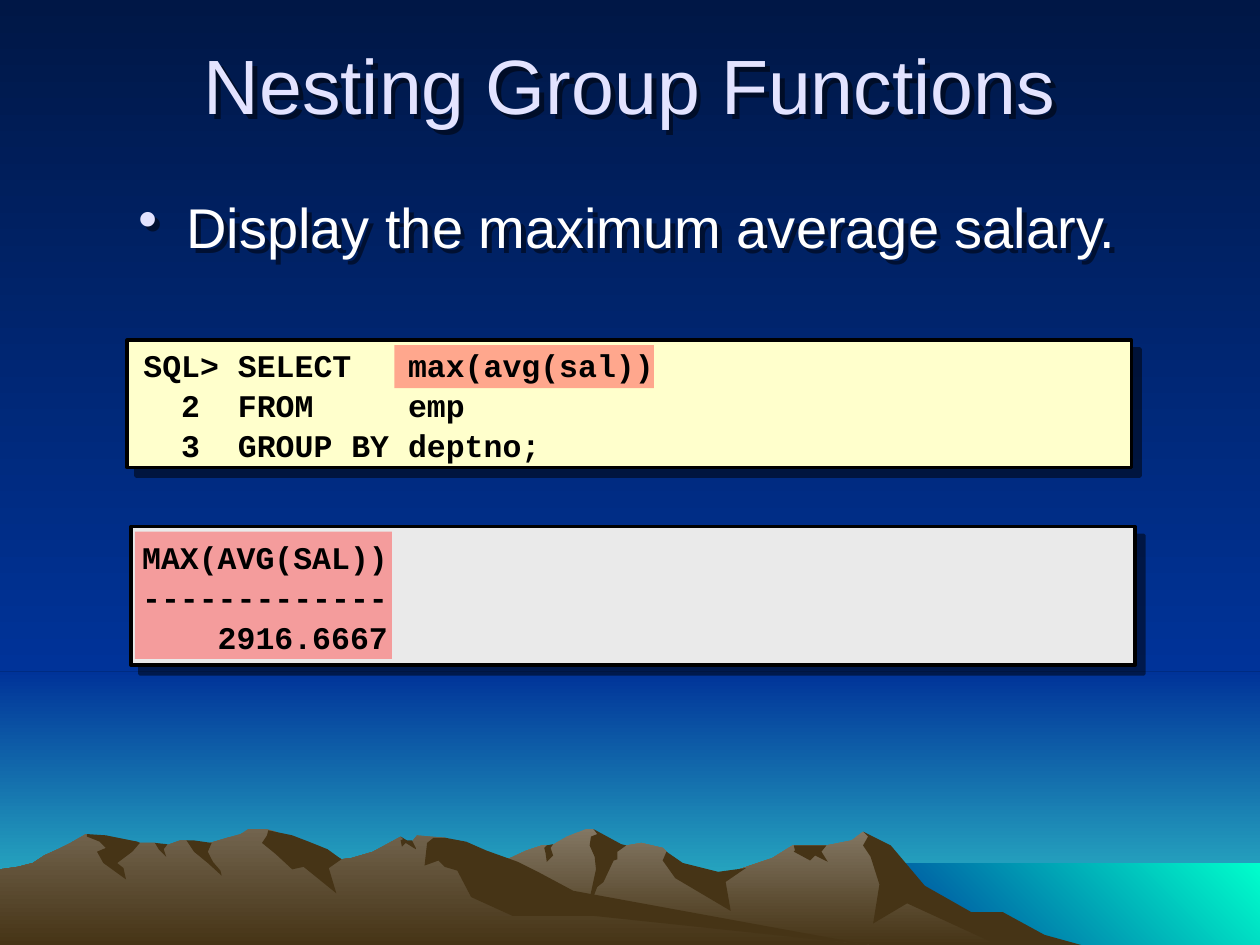
from dataclasses import dataclass

from lxml.etree import SubElement
from pptx import Presentation
from pptx.dml.color import RGBColor
from pptx.enum.shapes import MSO_SHAPE
from pptx.enum.text import MSO_ANCHOR, PP_ALIGN
from pptx.oxml.ns import qn
from pptx.util import Inches, Pt

UNIT = Inches(0.01)  # the slide is a grid of 1000 columns by 750 rows
COLUMNS, ROWS = 1000, 750
HORIZON = 533
CHARACTER = 15  # columns taken by one code character


@dataclass(frozen=True)
class Theme:
    night: str = "001746"
    blue: str = "003399"
    dusk: str = "33CCCC"
    sea: str = "00FFCC"
    far_rock: str = "837763"
    near_rock: str = "72644E"
    earth: str = "463416"
    query: str = "FFFFCC"
    result: str = "EAEAEA"
    highlight: str = "FF5050"
    title: str = "E3E3FF"
    body: str = "FFFFFF"
    ink: str = "000000"
    text_font: str = "Arial"
    code_font: str = "Courier New"
    title_size: int = 44
    body_size: int = 32
    code_size: int = 18


THEME = Theme()


@dataclass(frozen=True)
class Box:
    left: float
    top: float
    width: float
    height: float

    def inner(self, left, top, width, height):
        return Box(self.left + left, self.top + top, width, height)

    def emu(self):
        return [int(n * UNIT) for n in (self.left, self.top, self.width, self.height)]


# Outlines, in grid units from the top left of the mountain range.
FAR_RIDGE = [
    (802, 82), (778, 69), (764, 65), (723, 40), (702, 13), (685, 2), (676, 9), (656, 13),
    (629, 13), (613, 23), (566, 39), (536, 32), (529, 18), (526, 15), (509, 11), (486, 15),
    (474, 3), (471, 0), (465, 0), (450, 6), (438, 13), (430, 13), (418, 17), (405, 23),
    (394, 27), (355, 40), (327, 51), (277, 81), (258, 92), (820, 92)]
FAR_SHADES = [
    [(796, 66), (771, 66), (734, 45), (707, 13), (685, 2), (689, 6), (685, 13), (691, 22),
     (698, 44), (693, 75), (720, 59), (792, 92), (858, 92), (829, 84)],
    [(471, 0), (474, 4), (469, 6), (468, 13), (472, 22), (473, 32), (465, 69), (474, 46),
     (479, 42), (487, 25), (490, 24), (490, 18), (497, 13), (493, 12)],
    [(529, 18), (526, 25), (536, 39), (580, 65), (576, 42), (592, 31), (570, 34), (542, 27)],
    [(650, 13), (630, 13), (631, 17), (630, 18), (643, 25), (647, 21), (657, 26), (652, 18),
     (656, 13)],
    [(433, 19), (432, 15), (434, 13), (439, 12), (437, 15), (439, 21), (434, 26)]]
NEAR_RIDGE = [
    (690, 92), (667, 90), (432, 54), (354, 7), (331, 5), (327, 10), (323, 10), (318, 6),
    (296, 18), (279, 23), (271, 24), (260, 18), (236, 23), (223, 5), (219, 2), (212, 0),
    (197, 0), (191, 4), (180, 7), (160, 13), (148, 9), (143, 9), (132, 13), (123, 11),
    (111, 11), (94, 13), (68, 4), (56, 11), (46, 16), (35, 21), (26, 27), (14, 30),
    (0, 32), (0, 92)]
NEAR_SHADES = [
    [(212, 5), (208, 11), (219, 20), (232, 32), (241, 30), (267, 51), (261, 31), (271, 24),
     (260, 16), (245, 10), (232, 5), (213, 1)],
    [(370, 10), (354, 7), (344, 7), (339, 11), (337, 29), (348, 25), (353, 30), (363, 33),
     (374, 54), (407, 69), (472, 69), (690, 92), (455, 49), (427, 34), (411, 26), (386, 17)],
    [(318, 9), (320, 8), (318, 6), (323, 9), (327, 9), (330, 15), (330, 16), (322, 11),
     (319, 14)],
    [(154, 9), (168, 11), (165, 18), (169, 26), (175, 33), (176, 37), (165, 27), (154, 18),
     (148, 9)],
    [(133, 12), (130, 16), (132, 22), (126, 16), (123, 11)],
    [(109, 10), (111, 11), (105, 18), (93, 27), (98, 31), (100, 40), (82, 27), (77, 18),
     (84, 15), (79, 10), (69, 6), (69, 4), (84, 5), (94, 7)]]


def color(code):
    return RGBColor.from_string(code)


def fill_gradient(fill, start, end, angle=270):
    fill.gradient()
    fill.gradient_angle = angle
    for stop, code in zip(fill.gradient_stops, (start, end)):
        stop.color.rgb = color(code)


def fill_solid(fill, code):
    fill.solid()
    fill.fore_color.rgb = color(code)


def add_alpha(color_element, percent):
    SubElement(color_element, qn("a:alpha"), val=str(percent * 1000))


def cast_shadow(shape, distance):
    effects = SubElement(shape._element.spPr, qn("a:effectLst"))
    shadow = SubElement(effects, qn("a:outerShdw"), dist=str(Pt(distance)), dir="2700000",
                        algn="ctr", rotWithShape="0")
    add_alpha(SubElement(shadow, qn("a:srgbClr"), val=THEME.ink), 50)


def add_rectangle(slide, box):
    rectangle = slide.shapes.add_shape(MSO_SHAPE.RECTANGLE, *box.emu())
    rectangle.line.fill.background()
    return rectangle


def add_outline(slide, box, points):
    corners = [(box.left + x, box.top + y) for x, y in points]
    builder = slide.shapes.build_freeform(*corners[0], scale=UNIT)
    builder.add_line_segments(corners[1:])
    outline = builder.convert_to_shape()
    outline.shadow.inherit = False
    outline.line.fill.background()
    return outline


def add_text_frame(slide, box):
    holder = slide.shapes.add_textbox(*box.emu())
    holder.text_frame.word_wrap = True
    return holder, holder.text_frame


def add_run(paragraph, words, font, size, code, bold=False):
    run = paragraph.add_run()
    run.text = words
    run.font.name, run.font.size, run.font.bold = font, Pt(size), bold
    run.font.color.rgb = color(code)


def add_tab_stops(paragraph, characters):
    stops = SubElement(paragraph._p.get_or_add_pPr(), qn("a:tabLst"))
    for count in characters:
        SubElement(stops, qn("a:tab"), pos=str(count * CHARACTER * UNIT), algn="l")


def draw_sky(slide, box):
    fill_gradient(slide.background.fill, THEME.night, THEME.blue)
    bands = ((HORIZON, box.height - HORIZON, THEME.blue, THEME.dusk),
             (0, HORIZON, THEME.night, THEME.blue))
    for top, height, start, end in bands:
        band = add_rectangle(slide, box.inner(0, top, box.width, height))
        band.shadow.inherit = False
        fill_gradient(band.fill, start, end)


def draw_sea(slide, box):
    sea = add_rectangle(slide, box)
    sea.shadow.inherit = False
    fill_gradient(sea.fill, THEME.sea, THEME.blue, 225)


def draw_mountains(slide, box):
    ranges = ((FAR_RIDGE, FAR_SHADES, THEME.far_rock), (NEAR_RIDGE, NEAR_SHADES, THEME.near_rock))
    for ridge, shades, rock in ranges:
        fill_gradient(add_outline(slide, box, ridge).fill, rock, THEME.earth)
        for shade in shades:
            fill_solid(add_outline(slide, box, shade).fill, THEME.earth)


def write_title(slide, box, words):
    title, frame = add_text_frame(slide, box)
    cast_shadow(title, 4)
    frame.paragraphs[0].alignment = PP_ALIGN.CENTER
    add_run(frame.paragraphs[0], words, THEME.text_font, THEME.title_size, THEME.title)


def write_bullet(slide, box, words):
    task, frame = add_text_frame(slide, box)
    cast_shadow(task, 4)
    paragraph = frame.paragraphs[0]
    paragraph.space_before = Pt(8)
    properties = paragraph._p.get_or_add_pPr()
    properties.set("marL", str(Inches(0.38)))
    properties.set("indent", str(-Inches(0.38)))
    SubElement(SubElement(properties, qn("a:buClr")), qn("a:srgbClr"), val=THEME.title)
    SubElement(properties, qn("a:buChar"), char="•")
    add_run(paragraph, words, THEME.text_font, THEME.body_size, THEME.body)


def draw_code_panel(slide, box, paper, highlight, text_shift, lines, tabs):
    """Draw a framed panel of code; highlight is a box relative to the panel."""
    panel = add_rectangle(slide, box)
    fill_solid(panel.fill, paper)
    fill_solid(panel.line.fill, THEME.ink)
    panel.line.width = Pt(2)
    cast_shadow(panel, 7.1)
    marker = add_rectangle(slide, box.inner(*highlight))
    marker.shadow.inherit = False
    fill_solid(marker.fill, THEME.highlight)
    add_alpha(marker._element.spPr.find(qn("a:solidFill"))[0], 50)

    text_height = 133
    _, frame = add_text_frame(
        slide, box.inner(text_shift, (box.height - text_height) / 2, 800, text_height))
    frame.vertical_anchor = MSO_ANCHOR.MIDDLE
    for number, line in enumerate(lines):
        paragraph = frame.add_paragraph() if number else frame.paragraphs[0]
        paragraph.line_spacing = 1.05
        add_tab_stops(paragraph, tabs)
        add_run(paragraph, line, THEME.code_font, THEME.code_size, THEME.ink, bold=True)


def main():
    deck = Presentation()
    deck.slide_width, deck.slide_height = COLUMNS * UNIT, ROWS * UNIT
    slide = deck.slides.add_slide(deck.slide_layouts[6])
    draw_sky(slide, Box(0, 0, COLUMNS, ROWS))
    draw_sea(slide, Box(683, 685, 317, 65))
    draw_mountains(slide, Box(0, 658, COLUMNS, 92))
    write_title(slide, Box(50, 25, 900, 125), "Nesting Group Functions")
    write_bullet(slide, Box(100, 148, 842, 63), "Display the maximum average salary.")
    draw_code_panel(slide, Box(101, 270, 797, 101), THEME.query, (212, 4, 206, 34), 3,
                    ["SQL>\tSELECT\tmax(avg(sal))", "\t2\tFROM\temp", "\t3\tGROUP BY\tdeptno;"],
                    tabs=(2, 5, 14))
    draw_code_panel(slide, Box(104, 418, 797, 110), THEME.result, (3, 4, 204, 101), -1,
                    ["MAX(AVG(SAL))", "-------------", "\t2916.6667"], tabs=(4,))
    deck.save("out.pptx")


if __name__ == "__main__":
    main()
